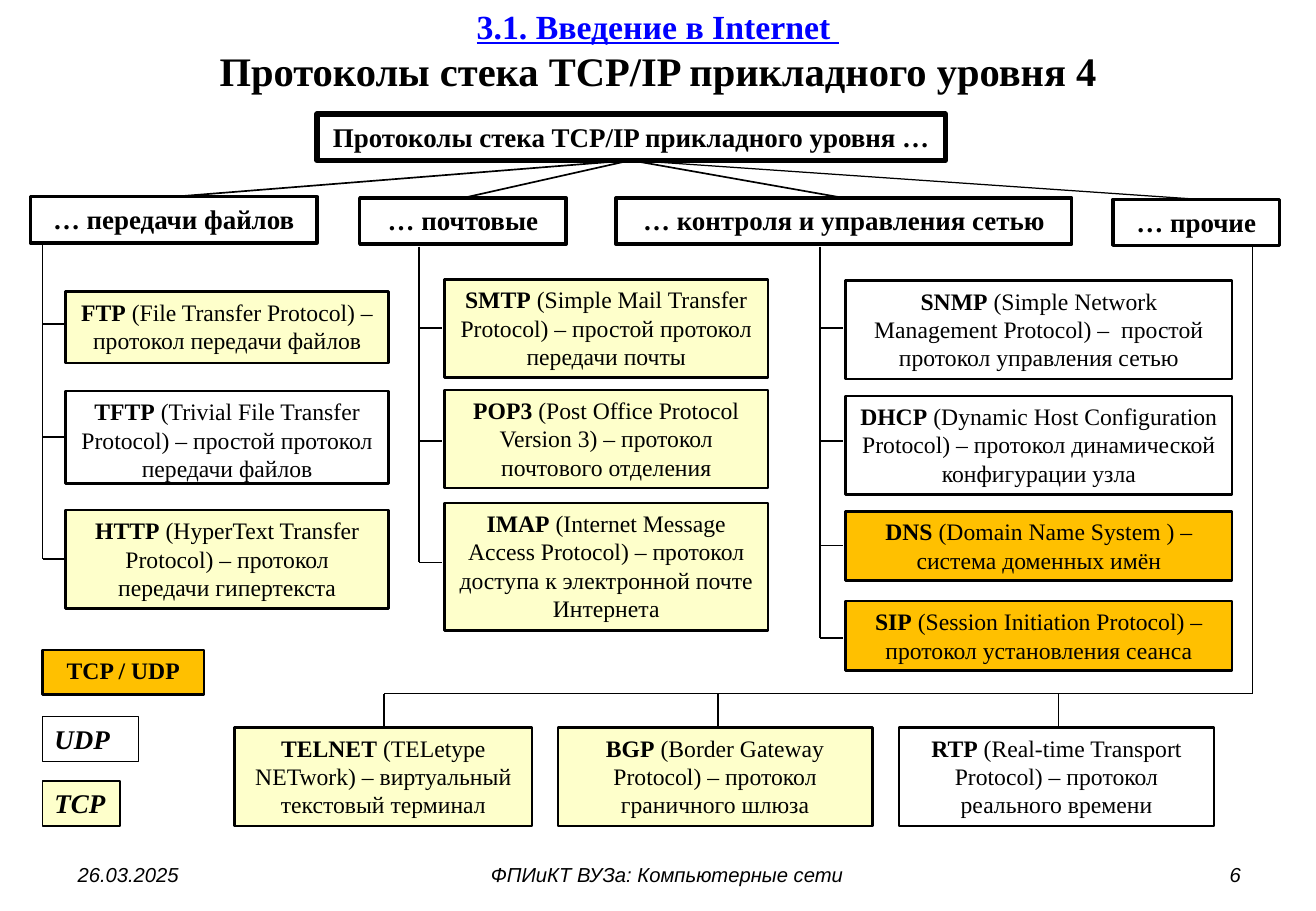
from dataclasses import dataclass

from lxml import etree
from pptx import Presentation
from pptx import util as u
from pptx.dml.color import RGBColor
from pptx.enum import shapes, text
from pptx.oxml.ns import qn


@dataclass(frozen=True)
class Theme:
    serif: str = "Times New Roman"
    sans: str = "Arial"
    ink: str = "000000"
    heading: str = "0000FF"
    udp: str = "FFFFFF"
    tcp: str = "FEFFCB"
    both: str = "FFC000"
    section_size: int = 20
    title_size: int = 24
    group_size: int = 16
    body_size: int = 14
    footer_size: int = 12


THEME = Theme()
LEFT, CENTER, RIGHT = text.PP_ALIGN.LEFT, text.PP_ALIGN.CENTER, text.PP_ALIGN.RIGHT

ROOT = (5.19, 1.32)
STUB = 0.19

# Caption, left, top, width, line width of the link from the root
CATEGORIES = [
    ("… передачи файлов", 0.25, 1.62, 2.36, 1),
    ("… почтовые", 2.96, 1.63, 1.7, 1),
    ("… контроля и управления сетью", 5.07, 1.63, 3.75, 1),
    ("… прочие", 9.16, 1.64, 1.37, 0.75),
]

# Trunk x and top, box left and width, then the protocols:
# name, meaning, transport colour, box top, box height, stub y
BRANCHES = [
    (0.35, 2.0, 0.54, 2.66, [
        ("FTP", "(File Transfer Protocol) – протокол передачи файлов",
         THEME.tcp, 2.4, 0.59, 2.67),
        ("TFTP", "(Trivial File Transfer Protocol) – простой протокол передачи файлов",
         THEME.udp, 3.22, 0.76, 3.6),
        ("HTTP", "(HyperText Transfer Protocol) – протокол передачи гипертекста",
         THEME.tcp, 4.2, 0.81, 4.6),
    ]),
    (3.45, 2.03, 3.66, 2.66, [
        ("SMTP", "(Simple Mail Transfer Protocol) – простой протокол передачи почты",
         THEME.tcp, 2.3, 0.81, 2.7),
        ("POP3", "(Post Office Protocol Version 3) – протокол почтового отделения",
         THEME.tcp, 3.21, 0.81, 3.63),
        ("IMAP", "(Internet Message Access Protocol) – протокол доступа "
                 "к электронной почте Интернета",
         THEME.tcp, 4.14, 1.05, 4.63),
    ]),
    (6.75, 2.03, 6.96, 3.18, [
        ("SNMP", "(Simple Network Management Protocol) –  простой протокол управления сетью",
         THEME.udp, 2.31, 0.81, 2.7),
        ("DHCP", "(Dynamic Host Configuration Protocol) – протокол динамической "
                 "конфигурации узла",
         THEME.udp, 3.26, 0.81, 3.63),
        ("DNS", "(Domain Name System ) – система доменных имён",
         THEME.both, 4.21, 0.57, 4.49),
        ("SIP", "(Session Initiation Protocol) – протокол установления сеанса",
         THEME.both, 4.95, 0.57, 5.25),
    ]),
]

# Name, meaning, transport colour, left, width, drop x
OTHERS = [
    ("TELNET", "(TELetype NETwork) – виртуальный текстовый терминал",
     THEME.tcp, 1.93, 2.45, 3.16),
    ("BGP", "(Border Gateway Protocol) – протокол граничного шлюза",
     THEME.tcp, 4.59, 2.59, 5.91),
    ("RTP", "(Real-time Transport Protocol) – протокол реального времени",
     THEME.udp, 7.4, 2.59, 8.71),
]


def rgb(color):
    return RGBColor.from_string(color)


def inches(*lengths):
    return [u.Inches(length) for length in lengths]


def add_run(paragraph, words, size, font=THEME.serif, color=THEME.ink, **style):
    run = paragraph.add_run()
    run.text = words
    run.font.name, run.font.size = font, u.Pt(size)
    run.font.color.rgb = rgb(color)
    for attribute, value in style.items():
        setattr(run.font, attribute, value)


def first_paragraph(shape, align, anchor=text.MSO_ANCHOR.TOP):
    frame = shape.text_frame
    frame.word_wrap = True
    frame.vertical_anchor = anchor
    frame.paragraphs[0].alignment = align
    return frame.paragraphs[0]


def add_box(slide, bounds, fill, line_width, align=CENTER):
    """Draw an outlined rectangle and return its empty paragraph."""
    box = slide.shapes.add_shape(shapes.MSO_SHAPE.RECTANGLE, *inches(*bounds))
    box.shadow.inherit = False
    box.fill.solid()
    box.fill.fore_color.rgb = rgb(fill)
    box.line.color.rgb = rgb(THEME.ink)
    box.line.width = u.Pt(line_width)
    return first_paragraph(box, align)


def add_line(slide, start, end, width=1):
    line = slide.shapes.add_connector(
        shapes.MSO_CONNECTOR.STRAIGHT, *inches(*start, *end))
    line.line.color.rgb = rgb(THEME.ink)
    line.line.width = u.Pt(width)
    etree.SubElement(line._element.spPr, qn("a:effectLst"))


def add_protocol(slide, name, meaning, fill, bounds):
    paragraph = add_box(slide, bounds, fill, 1.5)
    add_run(paragraph, name, THEME.body_size, bold=True)
    add_run(paragraph, " " + meaning, THEME.body_size)


def add_title(slide):
    title = slide.shapes.add_textbox(*inches(0.54, 0.07, 9.75, 0.68))
    paragraph = first_paragraph(title, CENTER, text.MSO_ANCHOR.MIDDLE)
    add_run(paragraph, "3.1. Введение в Internet ", THEME.section_size,
            color=THEME.heading, bold=True, underline=True)
    paragraph.add_line_break()
    add_run(paragraph, "Протоколы стека TCP/IP прикладного уровня 4",
            THEME.title_size, bold=True)


def add_footer(slide):
    for words, left, width, align in [
        ("26.03.2025", 0.54, 2.53, LEFT),
        ("ФПИиКТ ВУЗа: Компьютерные сети", 3.35, 4.28, CENTER),
        ("6", 7.78, 2.53, RIGHT),
    ]:
        footer = slide.shapes.add_textbox(*inches(left, 7.05, width, 0.3))
        add_run(first_paragraph(footer, align), words, THEME.footer_size,
                font=THEME.sans, italic=True)


def add_categories(slide):
    root = add_box(slide, (2.61, 0.94, 5.17, 0.38), THEME.udp, 3.25)
    add_run(root, "Протоколы стека TCP/IP прикладного уровня …",
            THEME.group_size, bold=True)
    for caption, left, top, width, link_width in CATEGORIES:
        add_line(slide, ROOT, (left + width / 2, top), link_width)
        category = add_box(slide, (left, top, width, 0.38), THEME.udp, 2)
        add_run(category, caption, THEME.group_size, bold=True)


def add_branch(slide, trunk, trunk_top, left, width, protocols):
    for name, meaning, fill, top, height, stub_y in protocols:
        add_protocol(slide, name, meaning, fill, (left, top, width, height))
        add_line(slide, (trunk, stub_y), (trunk + STUB, stub_y))
    add_line(slide, (trunk, trunk_top), (trunk, stub_y))


def add_others(slide):
    trunk, bus, top = 10.31, 5.71, 5.99
    add_line(slide, (trunk, 2.03), (trunk, bus), 0.75)
    add_line(slide, (trunk, bus), (OTHERS[0][-1], bus))
    for name, meaning, fill, left, width, drop in OTHERS:
        add_line(slide, (drop, bus), (drop, top))
        add_protocol(slide, name, meaning, fill, (left, top, width, 0.81))


def add_legend(slide):
    for label, fill, top, width, line_width, size, align, italic in [
        ("TCP / UDP", THEME.both, 5.35, 1.33, 1.5, THEME.body_size, CENTER, False),
        ("UDP", THEME.udp, 5.9, 0.79, 1, THEME.group_size, LEFT, True),
        ("TCP", THEME.tcp, 6.43, 0.64, 1, THEME.group_size, LEFT, True),
    ]:
        key = add_box(slide, (0.35, top, width, 0.37), fill, line_width, align)
        add_run(key, label, size, bold=True, italic=italic)


def main():
    deck = Presentation()
    deck.slide_width, deck.slide_height = inches(10.83, 7.5)
    slide = deck.slides.add_slide(deck.slide_layouts[6])
    add_title(slide)
    add_footer(slide)
    add_categories(slide)
    for branch in BRANCHES:
        add_branch(slide, *branch)
    add_others(slide)
    add_legend(slide)
    deck.save("out.pptx")


if __name__ == "__main__":
    main()
